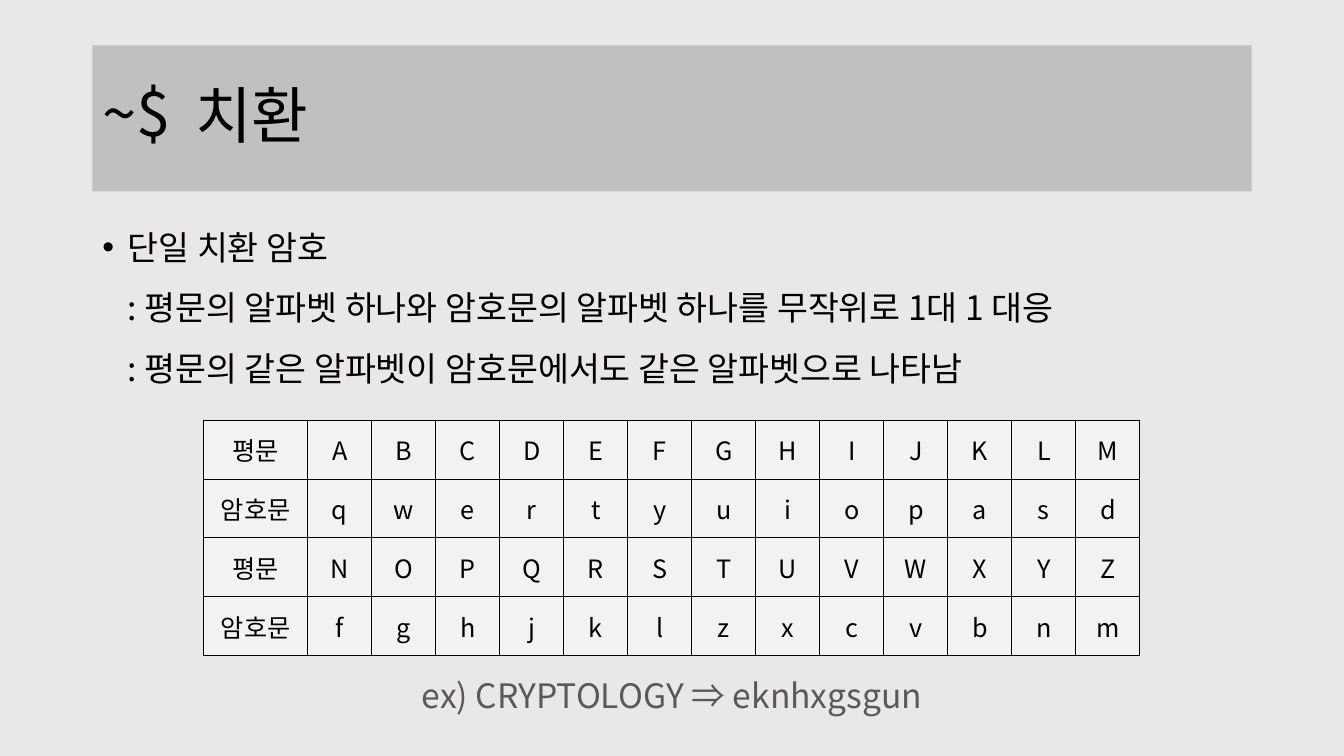
from copy import deepcopy
from dataclasses import dataclass

from pptx import Presentation
from pptx.dml.color import RGBColor
from pptx.enum import text as tx
from pptx.oxml import ns, xmlchemy as xc
from pptx.util import Pt


@dataclass(frozen=True)
class Theme:
    font: str = "Noto Sans CJK KR"
    back: str = "E9E7E7"
    ink: str = "000000"
    note: str = "595959"
    cell: str = "F2F2F2"
    head: float = 44
    body: float = 24
    grid: float = 18


@dataclass(frozen=True)
class Box:
    left: float
    top: float
    width: float
    height: float


@dataclass(frozen=True)
class Label:
    text: str
    box: Box
    size: float
    color: str
    align: tx.PP_ALIGN


@dataclass(frozen=True)
class Row:
    name: str
    keys: str


THEME = Theme()
LEFT, MID = tx.PP_ALIGN.LEFT, tx.PP_ALIGN.CENTER
TITLE = Box(66, 32.4, 828, 104.4)
BODY = Box(66, 144, 828, 342.72)
GRID = Box(145.44, 300.24, 668.88, 168)
FIRST = 74.4
LINES = (
    "단일 치환 암호",
    ": 평문의 알파벳 하나와 암호문의 알파벳 하나를 무작위로 1대 1 대응",
    ": 평문의 같은 알파벳이 암호문에서도 같은 알파벳으로 나타남",
)
ROWS = (
    Row("평문", "ABCDEFGHIJKLM"),
    Row("암호문", "qwertyuiopasd"),
    Row("평문", "NOPQRSTUVWXYZ"),
    Row("암호문", "fghjklzxcvbnm"),
)
LABELS = (
    Label("~$", Box(66, 49.68, 151.2, 60.48), THEME.head, THEME.ink, LEFT),
    Label("ex) CRYPTOLOGY ⇒ eknhxgsgun", Box(240, 478.8, 480, 36),
          THEME.body, THEME.note, MID),
)


def place(shape, box: Box) -> None:
    for name in ("left", "top", "width", "height"):
        setattr(shape, name, Pt(getattr(box, name)))


def style(para, size: float, color: str, **form) -> None:
    """Format a paragraph, its runs and its line breaks."""
    for name, value in form.items():
        setattr(para, name, value)
    for run in para.runs:
        run.font.size, run.font.name = Pt(size), THEME.font
        run.font.color.rgb = RGBColor.from_string(color)
        east = xc.OxmlElement("a:ea")
        east.set("typeface", THEME.font)
        run.font._element.find(ns.qn("a:latin")).addnext(east)
    for mark in para._p.findall(ns.qn("a:br")):
        mark.append(deepcopy(para.runs[0].font._element))


def fade(fill, color: str, share: int) -> None:
    """Fill with a colour that is opaque by the given percentage."""
    fill.solid()
    fill.fore_color.rgb = RGBColor.from_string(color)
    alpha = xc.OxmlElement("a:alpha")
    alpha.set("val", str(share * 1000))
    fill._xPr.find(".//" + ns.qn("a:srgbClr")).append(alpha)


def frame(cell) -> None:
    """Draw a thin line on all four sides of a cell."""
    props = cell._tc.get_or_add_tcPr()
    for spot, side in enumerate(("lnL", "lnR", "lnT", "lnB")):
        line = xc.OxmlElement("a:" + side)
        line.set("w", str(Pt(1)))
        fill = xc.OxmlElement("a:solidFill")
        color = xc.OxmlElement("a:srgbClr")
        color.set("val", THEME.ink)
        fill.append(color)
        line.append(fill)
        props.insert(spot, line)


def add_title(slide) -> None:
    title = slide.shapes.title
    place(title, TITLE)
    fade(title.fill, THEME.ink, 17)
    title.text_frame.text = "치환"
    form = {"margin_left": Pt(73.44), "auto_size": tx.MSO_AUTO_SIZE.NONE,
            "vertical_anchor": tx.MSO_ANCHOR.MIDDLE}
    for name, value in form.items():
        setattr(title.text_frame, name, value)
    style(title.text_frame.paragraphs[0], THEME.head, THEME.ink,
          alignment=LEFT, line_spacing=0.9)


def add_body(slide) -> None:
    body = slide.placeholders[1]
    place(body, BODY)
    body.text_frame.auto_size = tx.MSO_AUTO_SIZE.NONE
    para = body.text_frame.paragraphs[0]
    para.text = "\v".join(LINES)
    style(para, THEME.body, THEME.ink, line_spacing=1.5, space_before=Pt(10))
    props = para._p.get_or_add_pPr()
    for name, value in {"marL": Pt(18), "indent": Pt(-18)}.items():
        props.set(name, str(value))


def add_label(slide, label: Label) -> None:
    area = slide.shapes.add_textbox(0, 0, 0, 0)
    place(area, label.box)
    area.text_frame.word_wrap = True
    area.text_frame.auto_size = tx.MSO_AUTO_SIZE.SHAPE_TO_FIT_TEXT
    area.text_frame.text = label.text
    style(area.text_frame.paragraphs[0], label.size, label.color,
          alignment=label.align)


def add_grid(slide) -> None:
    count = len(ROWS[0].keys)
    holder = slide.shapes.add_table(len(ROWS), count + 1, 0, 0, 0, 0)
    place(holder, GRID)
    table = holder.table
    table.first_row = table.horz_banding = False
    for spot, col in enumerate(table.columns):
        col.width = Pt((GRID.width - FIRST) / count if spot else FIRST)
    for line, row in zip(table.rows, ROWS):
        line.height = Pt(GRID.height / len(ROWS))
        for cell, word in zip(line.cells, (row.name, *row.keys)):
            cell.text = word
            cell.vertical_anchor = tx.MSO_ANCHOR.MIDDLE
            cell.fill.solid()
            cell.fill.fore_color.rgb = RGBColor.from_string(THEME.cell)
            frame(cell)
            style(cell.text_frame.paragraphs[0], THEME.grid, THEME.ink,
                  alignment=MID)


def main() -> None:
    deck = Presentation()
    deck.slide_width, deck.slide_height = Pt(960), Pt(540)
    slide = deck.slides.add_slide(deck.slide_layouts[1])
    slide.background.fill.solid()
    slide.background.fill.fore_color.rgb = RGBColor.from_string(THEME.back)
    add_title(slide)
    add_body(slide)
    add_grid(slide)
    for label in LABELS:
        add_label(slide, label)
    deck.save("out.pptx")


if __name__ == "__main__":
    main()
